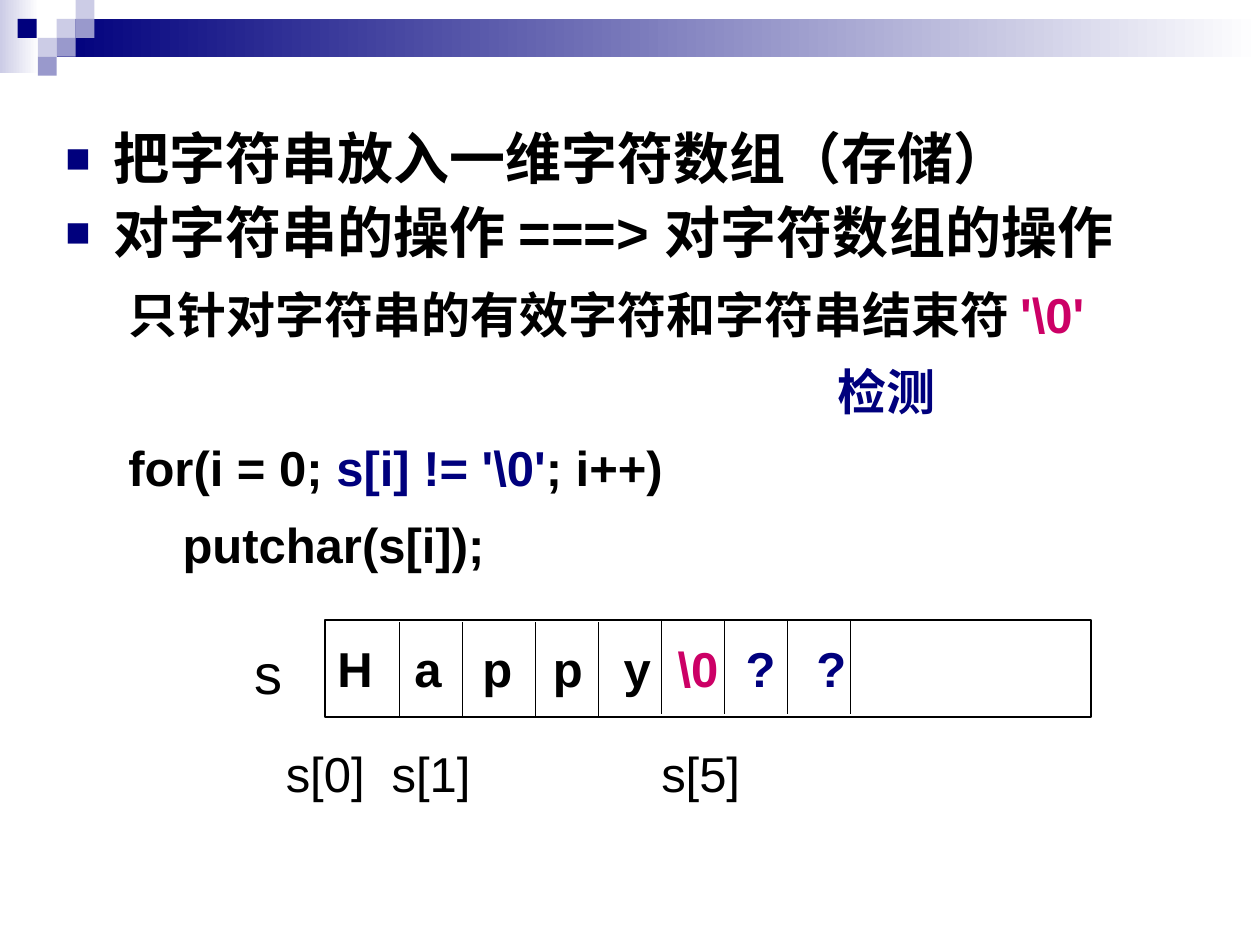
from typing import NamedTuple

from lxml import etree
from pptx import Presentation
from pptx.dml.color import RGBColor
from pptx.enum.shapes import MSO_CONNECTOR, MSO_SHAPE
from pptx.enum.text import MSO_ANCHOR
from pptx.oxml.ns import qn
from pptx.util import Inches, Pt

RECTANGLE = MSO_SHAPE.RECTANGLE
STRAIGHT = MSO_CONNECTOR.STRAIGHT
TOP = MSO_ANCHOR.TOP
FONT = "Arial"
BLACK, WHITE, NAVY, MAGENTA = "000000", "FFFFFF", "00007D", "CC0066"
LILAC, VIOLET = "CCCCE6", "9999CC"
TILE = 0.15


class Box(NamedTuple):
    left: float
    top: float
    width: float
    height: float


class Tile(NamedTuple):
    left: float
    top: float
    color: str


class Span(NamedTuple):
    text: str
    color: str = BLACK


class Line(NamedTuple):
    spans: list[Span]
    size: float = 28
    bold: bool = True
    margin: float = 0
    bullet: bool = False
    spacing: float = 1.0
    before: float = 0


class Label(NamedTuple):
    left: float
    span: Span


TILES = [
    Tile(0.45, 0.15, LILAC),
    Tile(0.6, 0, LILAC),
    Tile(0.6, 0.15, VIOLET),
    Tile(0.3, 0.3, LILAC),
    Tile(0.14, 0.15, NAVY),
    Tile(0.45, 0.3, VIOLET),
    Tile(0.3, 0.45, VIOLET),
]
HEADLINES = ["把字符串放入一维字符数组（存储）", "对字符串的操作 ===> 对字符数组的操作"]
DETAILS = [
    (0.5, [Span("只针对字符串的有效字符和字符串结束符 "), Span("'\\0'", MAGENTA)]),
    (6.13, [Span("检测", NAVY)]),
    (0.5, [Span("for(i = 0; "), Span("s[i] != '\\0'", NAVY), Span("; i++)")]),
    (0.5, [Span("    putchar(s[i]);")]),
]
ARRAY = Box(2.58, 4.92, 6.08, 0.77)
LOWER_DIVIDERS = [3.17, 3.67, 4.25, 4.75]
UPPER_DIVIDERS = [5.25 + 0.5 * step for step in range(4)]
CELLS = [
    Label(2.58, Span("H")),
    Label(3.19, Span("a")),
    Label(3.73, Span("p")),
    Label(4.29, Span("p")),
    Label(4.85, Span("y")),
    Label(5.28, Span("\\0", MAGENTA)),
    Label(5.82, Span("?", NAVY)),
    Label(6.38, Span("?", NAVY)),
]
INDICES = [Label(2.17, Span("s[0]")), Label(3.01, Span("s[1]")), Label(5.15, Span("s[5]"))]


def rgb(value: str) -> RGBColor:
    """Turn a hex string into a colour."""
    return RGBColor.from_string(value)


def add_rectangle(slide, box: Box, *, fill: str = "", fade: str = "", line: str = "") -> None:
    """Draw a rectangle with a plain, fading or empty fill."""
    shape = slide.shapes.add_shape(RECTANGLE, *map(Inches, box))
    shape.shadow.inherit = False
    if fade:
        shape.fill.gradient()
        shape.fill.gradient_angle = 0
        for stop, color in zip(shape.fill.gradient_stops, (fill, fade)):
            stop.color.rgb = rgb(color)
    elif fill:
        shape.fill.solid()
        shape.fill.fore_color.rgb = rgb(fill)
    else:
        shape.fill.background()
    if line:
        shape.line.color.rgb = rgb(line)
        shape.line.width = Pt(1)
    else:
        shape.line.fill.background()


def add_divider(slide, x: float, top: float) -> None:
    """Draw a vertical line between two array cells."""
    divider = slide.shapes.add_connector(
        STRAIGHT, Inches(x), Inches(top), Inches(x), Inches(top + 0.75)
    )
    divider.line.color.rgb = rgb(BLACK)
    divider.line.width = Pt(1)
    etree.SubElement(divider.element.spPr, qn("a:effectLst"))


def add_bullet(properties) -> None:
    """Give a paragraph a small navy square bullet."""
    color = etree.SubElement(properties, qn("a:buClr"))
    etree.SubElement(color, qn("a:srgbClr"), val=NAVY)
    etree.SubElement(properties, qn("a:buSzPct"), val="75000")
    etree.SubElement(properties, qn("a:buFont"), typeface=FONT)
    etree.SubElement(properties, qn("a:buChar"), char="■")


def format_line(paragraph, line: Line) -> None:
    """Set the spacing, indent and bullet of a paragraph."""
    paragraph.line_spacing = line.spacing
    paragraph.space_before = Pt(line.before)
    properties = paragraph._p.get_or_add_pPr()
    properties.set("marL", str(Inches(line.margin)))
    properties.set("indent", str(Inches(-line.margin if line.bullet else 0)))
    if line.bullet:
        add_bullet(properties)


def add_text(slide, box: Box, *, lines: list[Line]) -> None:
    """Place a text box holding the given lines."""
    frame = slide.shapes.add_textbox(*map(Inches, box)).text_frame
    frame.word_wrap = True
    frame.vertical_anchor = TOP
    for number, line in enumerate(lines):
        paragraph = frame.add_paragraph() if number else frame.paragraphs[0]
        format_line(paragraph, line)
        for span in line.spans:
            run = paragraph.add_run()
            run.text = span.text
            run.font.name = FONT
            run.font.size = Pt(line.size)
            run.font.bold = line.bold
            run.font.color.rgb = rgb(span.color)


def add_labels(slide, labels: list[Label], *, top: float, width: float, bold: bool) -> None:
    """Place a row of short labels."""
    for label in labels:
        line = Line([label.span], bold=bold)
        add_text(slide, Box(label.left, top, width, 0.56), lines=[line])


def add_banner(slide) -> None:
    """Draw the fading bar and the tiles at the top."""
    add_rectangle(slide, Box(0, 0, 0.31, 0.58), fill=LILAC, fade=WHITE)
    add_rectangle(slide, Box(0.45, 0.15, 9.55, 0.3), fill=NAVY, fade=WHITE)
    for tile in TILES:
        add_rectangle(slide, Box(tile.left, tile.top, TILE, TILE), fill=tile.color)


def add_explanation(slide) -> None:
    """Write the two bullets, their details and the loop."""
    headlines = [
        Line([Span(text)], size=32, margin=0.38, bullet=True, spacing=0.9, before=8 * number)
        for number, text in enumerate(HEADLINES)
    ]
    details = [Line(spans, margin=margin, spacing=1.1, before=7) for margin, spans in DETAILS]
    add_text(slide, Box(0.42, 0.99, 9.08, 3.68), lines=headlines + details)


def add_array(slide) -> None:
    """Draw the character array with its name and indices."""
    add_labels(slide, INDICES, top=5.85, width=0.9, bold=False)
    add_rectangle(slide, ARRAY, line=BLACK)
    for x in LOWER_DIVIDERS:
        add_divider(slide, x, ARRAY.top + 0.02)
    for x in UPPER_DIVIDERS:
        add_divider(slide, x, ARRAY.top)
    add_text(slide, Box(1.92, 5.02, 0.58, 0.63), lines=[Line([Span("s")], size=32, bold=False)])
    add_labels(slide, CELLS, top=5.02, width=0.58, bold=True)


def main() -> None:
    """Build and save the slide."""
    presentation = Presentation()
    presentation.slide_width, presentation.slide_height = Inches(10), Inches(7.5)
    slide = presentation.slides.add_slide(presentation.slide_layouts[6])
    add_banner(slide)
    add_explanation(slide)
    add_array(slide)
    presentation.save("out.pptx")


if __name__ == "__main__":
    main()
